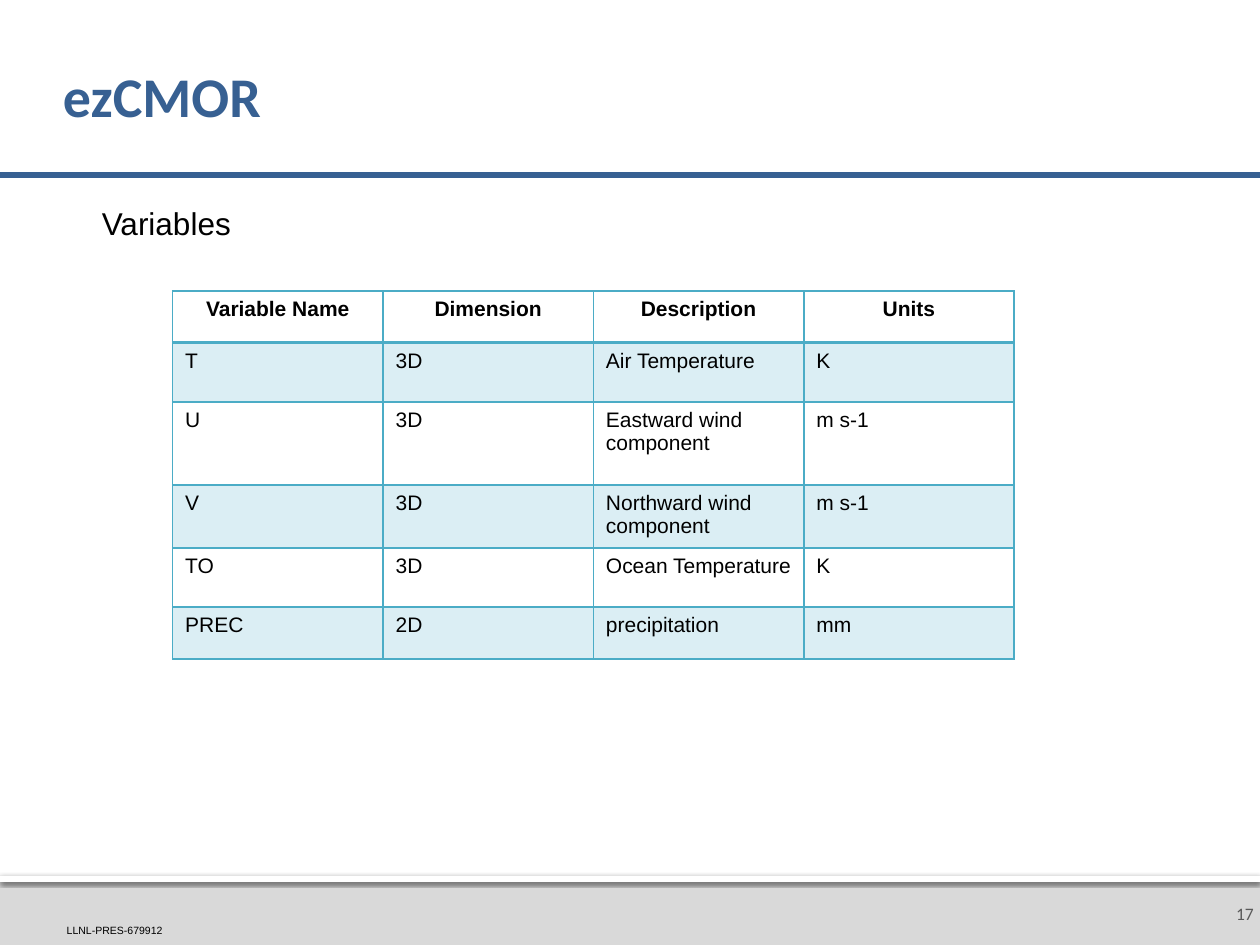
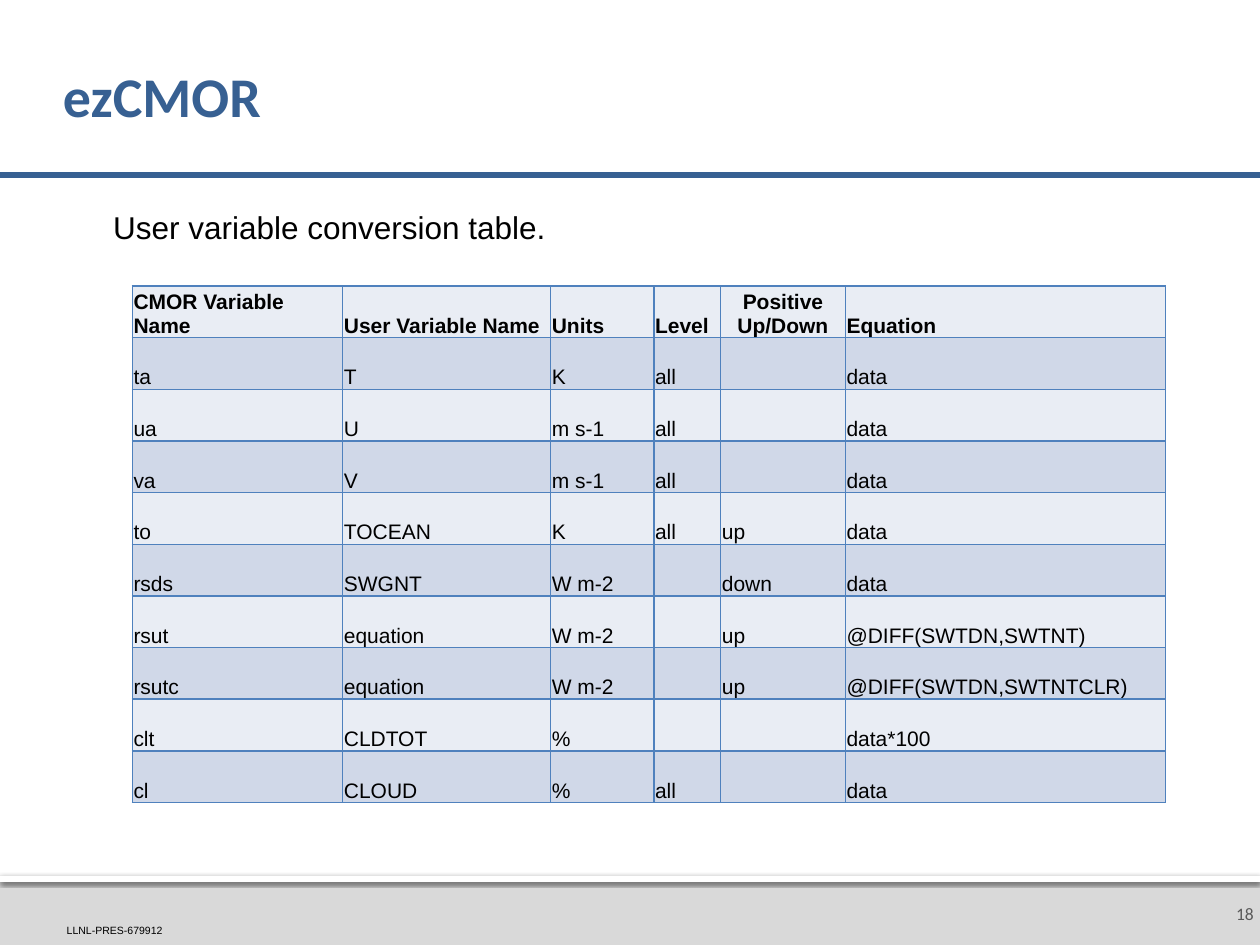
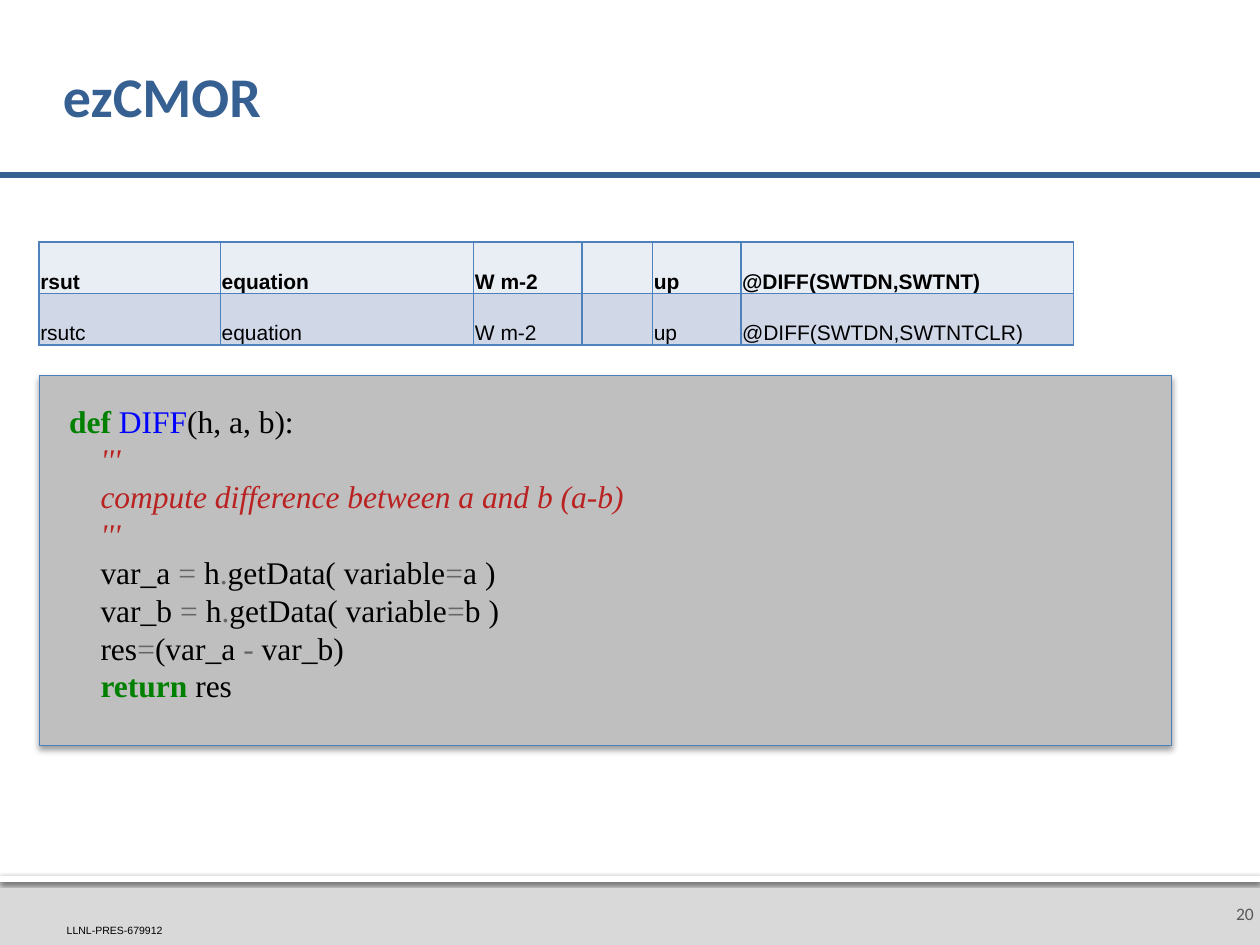
from dataclasses import dataclass
from typing import Optional

from lxml.etree import SubElement
from pptx import Presentation
from pptx.dml.color import RGBColor
from pptx.enum.shapes import MSO_CONNECTOR, MSO_SHAPE
from pptx.enum.text import MSO_ANCHOR, PP_ALIGN
from pptx.oxml import parse_xml
from pptx.oxml.ns import nsdecls, qn
from pptx.util import Emu, Pt

PX = 9144
C = {
    "black": "000000", "white": "FFFFFF", "blue": "376092", "footer": "D9D9D9",
    "number": "595959", "teal": "4BACC6", "teal_band": "DBEEF4",
    "grid": "4F81BD", "light": "E9EDF4", "dark": "D0D8E8",
    "panel": "BFBFBF", "panel_line": "4B7EBC", "keyword": "008000",
    "function": "0000FF", "docstring": "BA2121", "operator": "666666",
}


@dataclass(frozen=True)
class Box:
    """A rectangle in px."""
    x: int
    y: int
    w: int
    h: int

    def emu(self) -> list[Emu]:
        """Return left, top, width and height in EMU."""
        return [Emu(v * PX) for v in (self.x, self.y, self.w, self.h)]


@dataclass(frozen=True)
class Shadow:
    """A shadow that falls straight down."""
    alpha: int
    blur: float
    dist: float


@dataclass(frozen=True)
class TableStyle:
    """The look of a table: border, row fills, cell insets and header rule."""
    border: str
    fills: tuple[Optional[str], str]
    insets: tuple[int, int, int, int]
    anchor: MSO_ANCHOR
    header_rule: int = 1
    center_header: bool = False


@dataclass(frozen=True)
class Token:
    """A piece of code with its colour and weight."""
    text: str
    color: str = "black"
    bold: bool = False
    italic: bool = False


CELL_INSETS = (10, 5, 10, 5)
VARIABLES_STYLE = TableStyle("teal", (None, "teal_band"), CELL_INSETS,
                             MSO_ANCHOR.TOP, 2, True)
CONVERSION_STYLE = TableStyle("grid", ("light", "dark"), (1, 1, 1, 0),
                              MSO_ANCHOR.BOTTOM)

VARIABLES = [
    ["Variable Name", "Dimension", "Description", "Units"],
    ["T", "3D", "Air Temperature", "K"],
    ["U", "3D", "Eastward wind component", "m s-1"],
    ["V", "3D", "Northward wind component", "m s-1"],
    ["TO", "3D", "Ocean Temperature", "K"],
    ["PREC", "2D", "precipitation", "mm"],
]
EQUATIONS = [
    ["rsut", "equation", "W m-2", "", "up", "@DIFF(SWTDN,SWTNT)"],
    ["rsutc", "equation", "W m-2", "", "up", "@DIFF(SWTDN,SWTNTCLR)"],
]
CONVERSIONS = [
    ["CMOR Variable Name", "User Variable Name", "Units", "Level",
     "Positive\nUp/Down", "Equation"],
    ["ta", "T", "K", "all", "", "data"],
    ["ua", "U", "m s-1", "all", "", "data"],
    ["va", "V", "m s-1", "all", "", "data"],
    ["to", "TOCEAN", "K", "all", "up", "data"],
    ["rsds", "SWGNT", "W m-2", "", "down", "data"],
    *EQUATIONS,
    ["clt", "CLDTOT", "%", "", "", "data*100"],
    ["cl", "CLOUD", "%", "all", "", "data"],
]


def get_data(name: str) -> list[Token]:
    """Return the code line that reads one variable."""
    return [Token(f"    var_{name} "), Token("= ", "operator"), Token("h"),
            Token(".", "operator"), Token("getData( variable"),
            Token("=", "operator"), Token(f"{name} )")]


def doc(text: str) -> list[Token]:
    """Return one docstring line."""
    return [Token("    " + text, "docstring", italic=True)]


CODE = [
    [Token("def ", "keyword", bold=True), Token("DIFF", "function"),
     Token("(h, a, b):")],
    doc("'''"),
    doc("compute difference between a and b (a-b)"),
    doc("'''"),
    get_data("a"),
    get_data("b"),
    [Token("    res"), Token("=", "operator"), Token("(var_a "),
     Token("- ", "operator"), Token("var_b)")],
    [Token("    "), Token("return", "keyword", bold=True), Token(" res")],
]


def rgb(name: str) -> RGBColor:
    """Look up a colour by name."""
    return RGBColor.from_string(C[name])


def add_text(p, text: str, *, size: int = 12, font: str = "Arial",
             color: str = "black", bold: bool = False,
             italic: bool = False) -> None:
    """Append a formatted run to a paragraph."""
    r = p.add_run()
    r.text = text
    r.font.size, r.font.name = Pt(size), font
    r.font.bold, r.font.italic = bold, italic
    r.font.color.rgb = rgb(color)


def add_box(s, box: Box, *, insets: tuple[int, int, int, int] = CELL_INSETS,
            anchor: MSO_ANCHOR = MSO_ANCHOR.TOP, wrap: bool = True):
    """Add a text box and return its text frame."""
    tf = s.shapes.add_textbox(*box.emu()).text_frame
    tf.word_wrap, tf.vertical_anchor = wrap, anchor
    tf.margin_left, tf.margin_top, tf.margin_right, tf.margin_bottom = (
        Emu(v * PX) for v in insets)
    return tf


def add_rect(s, box: Box, fill: str, *, line: Optional[str] = None,
             shadow: Optional[Shadow] = None) -> None:
    """Add a filled rectangle, with a thin line and a shadow if given."""
    sp = s.shapes.add_shape(MSO_SHAPE.RECTANGLE, *box.emu())
    sp.fill.solid()
    sp.fill.fore_color.rgb = rgb(fill)
    if line:
        sp.line.color.rgb, sp.line.width = rgb(line), Pt(0.5)
    else:
        sp.line.fill.background()
    sp.shadow.inherit = False
    if shadow:
        effects = sp._element.spPr.find(qn("a:effectLst"))
        effects.append(parse_xml(
            f'<a:outerShdw {nsdecls("a")} blurRad="{Pt(shadow.blur)}" '
            f'dist="{Pt(shadow.dist)}" dir="5400000" rotWithShape="0">'
            f'<a:srgbClr val="{C["black"]}"><a:alpha val="{shadow.alpha * 1000}"/>'
            '</a:srgbClr></a:outerShdw>'))


def set_borders(cell, color: str, widths: dict[str, int]) -> None:
    """Give a cell its border lines, with widths in points by side."""
    tcPr = cell._tc.get_or_add_tcPr()
    for i, side in enumerate("LRTB"):
        tcPr.insert(i, parse_xml(
            f'<a:ln{side} {nsdecls("a")} w="{Pt(widths.get(side, 1))}">'
            f'<a:solidFill><a:srgbClr val="{C[color]}"/></a:solidFill>'
            f'</a:ln{side}>'))


def fill_cell(cell, text: str, row: int, style: TableStyle) -> None:
    """Write and format one table cell."""
    cell.vertical_anchor = style.anchor
    (cell.margin_left, cell.margin_top, cell.margin_right,
     cell.margin_bottom) = (Emu(v * PX) for v in style.insets)
    lines = text.split("\n") if text else []
    for i, line in enumerate(lines):
        tf = cell.text_frame
        p = tf.add_paragraph() if i else tf.paragraphs[0]
        if len(lines) > 1 or (style.center_header and row == 0):
            p.alignment = PP_ALIGN.CENTER
        add_text(p, line, bold=row == 0)
    fill = style.fills[row % 2]
    if fill:
        cell.fill.solid()
        cell.fill.fore_color.rgb = rgb(fill)
    else:
        cell.fill.background()
    rule = {0: "B", 1: "T"}.get(row)
    set_borders(cell, style.border, {rule: style.header_rule} if rule else {})


def add_grid(s, x: int, y: int, cols: list[int], heights: list[int],
             rows: list[list[str]], style: TableStyle) -> None:
    """Add a table at a place with given column widths and row heights."""
    box = Box(x, y, sum(cols), sum(heights))
    tbl = s.shapes.add_table(len(rows), len(cols), *box.emu()).table
    tbl.first_row = tbl.horz_banding = False
    for col, w in zip(tbl.columns, cols):
        col.width = Emu(w * PX)
    for i, (row, h) in enumerate(zip(rows, heights)):
        tbl.rows[i].height = Emu(h * PX)
        for j, text in enumerate(row):
            fill_cell(tbl.cell(i, j), text, i, style)


def add_page(prs, number: int):
    """Add a slide with the shared title, rule and footer."""
    s = prs.slides.add_slide(prs.slide_layouts[6])
    add_rect(s, Box(0, 695, 1000, 55), "footer")
    add_rect(s, Box(0, 695, 1000, 5), "white", shadow=Shadow(60, 2.5, 0.8))
    tf = add_box(s, Box(53, 733, 96, 10), insets=(0, 0, 0, 0),
                 anchor=MSO_ANCHOR.BOTTOM, wrap=False)
    add_text(tf.paragraphs[0], "LLNL-PRES-679912", size=6)
    tf = add_box(s, Box(965, 700, 35, 50), insets=(10, 5, 5, 5),
                 anchor=MSO_ANCHOR.MIDDLE)
    p = tf.paragraphs[0]
    p.alignment = PP_ALIGN.RIGHT
    add_text(p, str(number), size=10, font="Calibri", color="number")
    rule = s.shapes.add_connector(MSO_CONNECTOR.STRAIGHT, Emu(-PX),
                                  Emu(139 * PX), Emu(1000 * PX), Emu(139 * PX))
    rule.line.color.rgb, rule.line.width = rgb("blue"), Pt(3)
    SubElement(rule._element.spPr, qn("a:effectLst"))
    tf = add_box(s, Box(50, 24, 900, 110), insets=(0, 5, 5, 5),
                 anchor=MSO_ANCHOR.MIDDLE)
    p = tf.paragraphs[0]
    p.line_spacing = 0.9
    add_text(p, "ezCMOR", size=32, font="Calibri", color="blue", bold=True)
    return s


def add_caption(s, box: Box, text: str) -> None:
    """Add the line above a table."""
    add_text(add_box(s, box, wrap=False).paragraphs[0], text, size=18)


def add_code(s, box: Box, code: list[list[Token]]) -> None:
    """Add coloured code, one paragraph a line."""
    tf = add_box(s, box)
    for i, line in enumerate(code):
        p = tf.add_paragraph() if i else tf.paragraphs[0]
        for t in line:
            add_text(p, t.text, size=18, font="Times New Roman",
                     color=t.color, bold=t.bold, italic=t.italic)


def main() -> None:
    """Build the three slides."""
    prs = Presentation()
    prs.slide_width, prs.slide_height = Emu(1000 * PX), Emu(750 * PX)

    s = add_page(prs, 17)
    add_grid(s, 137, 231, [167] * 4, [41, 47, 66, 47, 47, 41],
             VARIABLES, VARIABLES_STYLE)
    add_caption(s, Box(71, 157, 125, 40), "Variables")

    s = add_page(prs, 18)
    add_grid(s, 105, 227, [167, 165, 82, 53, 99, 254],
             [41] * len(CONVERSIONS), CONVERSIONS, CONVERSION_STYLE)
    add_caption(s, Box(80, 160, 367, 40), "User variable conversion table.")

    s = add_page(prs, 20)
    add_rect(s, Box(31, 298, 899, 294), "panel", line="panel_line",
             shadow=Shadow(38, 3.1, 2))
    add_grid(s, 31, 192, [144, 201, 86, 56, 70, 264],
             [41] * len(EQUATIONS), EQUATIONS, CONVERSION_STYLE)
    add_code(s, Box(45, 314, 500, 252), CODE)

    prs.save("out.pptx")


if __name__ == "__main__":
    main()
